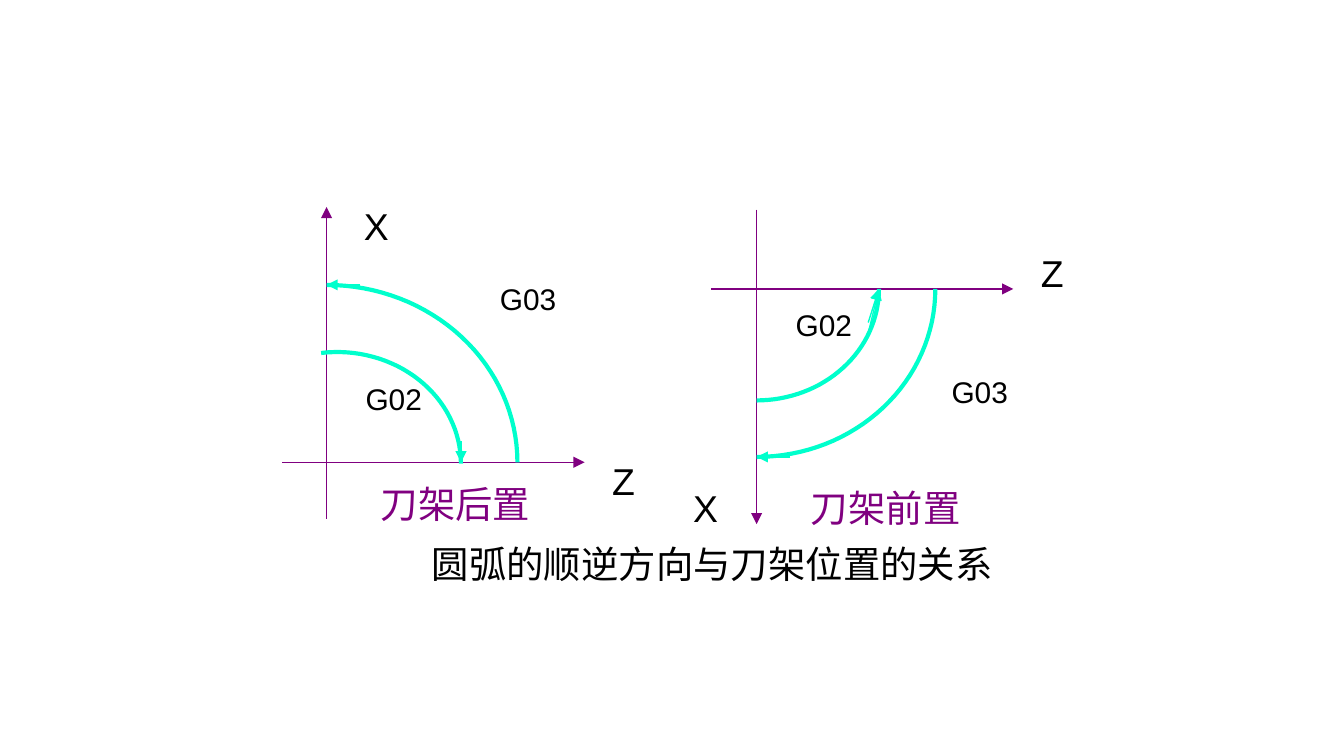
from math import cos, radians, sin

from lxml.etree import SubElement
from pptx import Presentation
from pptx.dml.color import RGBColor
from pptx.enum.text import MSO_ANCHOR, PP_ALIGN
from pptx.oxml.ns import qn
from pptx.util import Inches, Pt

PURPLE = RGBColor(0x80, 0x00, 0x80)
AQUA = RGBColor(0x00, 0xFF, 0xCC)
BLACK = RGBColor(0x00, 0x00, 0x00)

WIDE = Inches(10)
SIZE = {"slide_width": WIDE, "slide_height": WIDE * 9 // 16}
FRAME = {"word_wrap": True, "vertical_anchor": MSO_ANCHOR.TOP}
AXIS = (0.58, 0.43, 20, BLACK)
CODE = (1, 0.5, 16, BLACK)
TITLE = (1.42, 0.43, 20, PURPLE)
LABELS = {"Z": AXIS, "X": AXIS, "G03": CODE, "G02": CODE}
STEPS = 32


def apply(item, values):
    for name, value in values.items():
        setattr(item, name, value)


def add_text(shapes, text, x, y, w, h, size, color, face="Arial"):
    box = shapes.add_textbox(Inches(x), Inches(y), Inches(w), Inches(h))
    apply(box.text_frame, FRAME)
    para = box.text_frame.paragraphs[0]
    para.alignment = PP_ALIGN.CENTER
    run = para.add_run()
    run.text = text
    apply(run.font, {"name": face, "size": Pt(size)})
    run.font.color.rgb = color


def add_arrow(shapes, x, y, line, color):
    x1, y1, x2, y2 = line
    arrow = shapes.add_connector(
        1, Inches(x + x1), Inches(y + y1), Inches(x + x2), Inches(y + y2))
    arrow.line.color.rgb = color
    arrow.line.width = Pt(0.75)
    SubElement(arrow.line._get_or_add_ln(), qn("a:tailEnd"), type="triangle")
    SubElement(arrow._element.spPr, qn("a:effectLst"))


def add_arc(shapes, x, y, arc):
    cx, cy, rx, ry, start = arc
    turns = [radians(start * (1 - i / STEPS)) for i in range(STEPS + 1)]
    points = [(Inches(x + cx + rx * cos(t)), Inches(y + cy - ry * sin(t)))
              for t in turns]
    pen = shapes.build_freeform(*points[0])
    pen.add_line_segments(points[1:], close=False)
    curve = pen.convert_to_shape()
    curve.shadow.inherit = False
    curve.fill.background()
    curve.line.color.rgb = AQUA
    curve.line.width = Pt(2.25)


def add_graph(slide, x, y, title, spot, axes, arcs, tips, places):
    shapes = slide.shapes.add_group_shape().shapes
    for line in axes:
        add_arrow(shapes, x, y, line, PURPLE)
    for arc in arcs:
        add_arc(shapes, x, y, arc)
    for line in tips:
        add_arrow(shapes, x, y, line, AQUA)
    for text, (dx, dy) in places.items():
        add_text(shapes, text, x + dx, y + dy, *LABELS[text])
    add_text(shapes, title, x + spot[0], y + spot[1], *TITLE)


def main():
    deck = Presentation()
    apply(deck, SIZE)
    slide = deck.slides.add_slide(deck.slide_layouts[6])
    add_graph(
        slide, 2.1, 1.46, "刀架后置", (0.58, 2.07),
        axes=[(0, 1.98, 2.25, 1.98), (0.33, 2.4, 0.33, 0.08)],
        arcs=[(0.41, 1.99, 0.92, 0.83, 97.5), (0.33, 1.98, 1.42, 1.32, 90)],
        tips=[(1.33, 1.82, 1.33, 1.98), (0.58, 0.66, 0.33, 0.66)],
        places={"Z": (2.25, 1.9), "X": (0.41, 0),
                "G03": (1.33, 0.58), "G02": (0.33, 1.32)})
    add_graph(
        slide, 4.96, 1.56, "刀架前置", (0.92, 2),
        axes=[(0.33, 0.59, 2.58, 0.59), (0.67, 0, 0.67, 2.34)],
        arcs=[(0.67, 0.59, 1.33, 1.25, -90), (0.67, 0.59, 0.91, 0.83, -90)],
        tips=[(1.5, 0.84, 1.58, 0.59), (1.5, 0.92, 1.58, 0.59),
              (0.92, 1.84, 0.67, 1.84)],
        places={"Z": (2.58, 0.25), "X": (0, 2),
                "G03": (1.83, 1.17), "G02": (0.67, 0.67)})
    add_text(slide.shapes, "圆弧的顺逆方向与刀架位置的关系",
             2.26, 3.98, 6.08, 0.44, 20, BLACK, "Calibri")
    deck.save("out.pptx")


if __name__ == "__main__":
    main()
